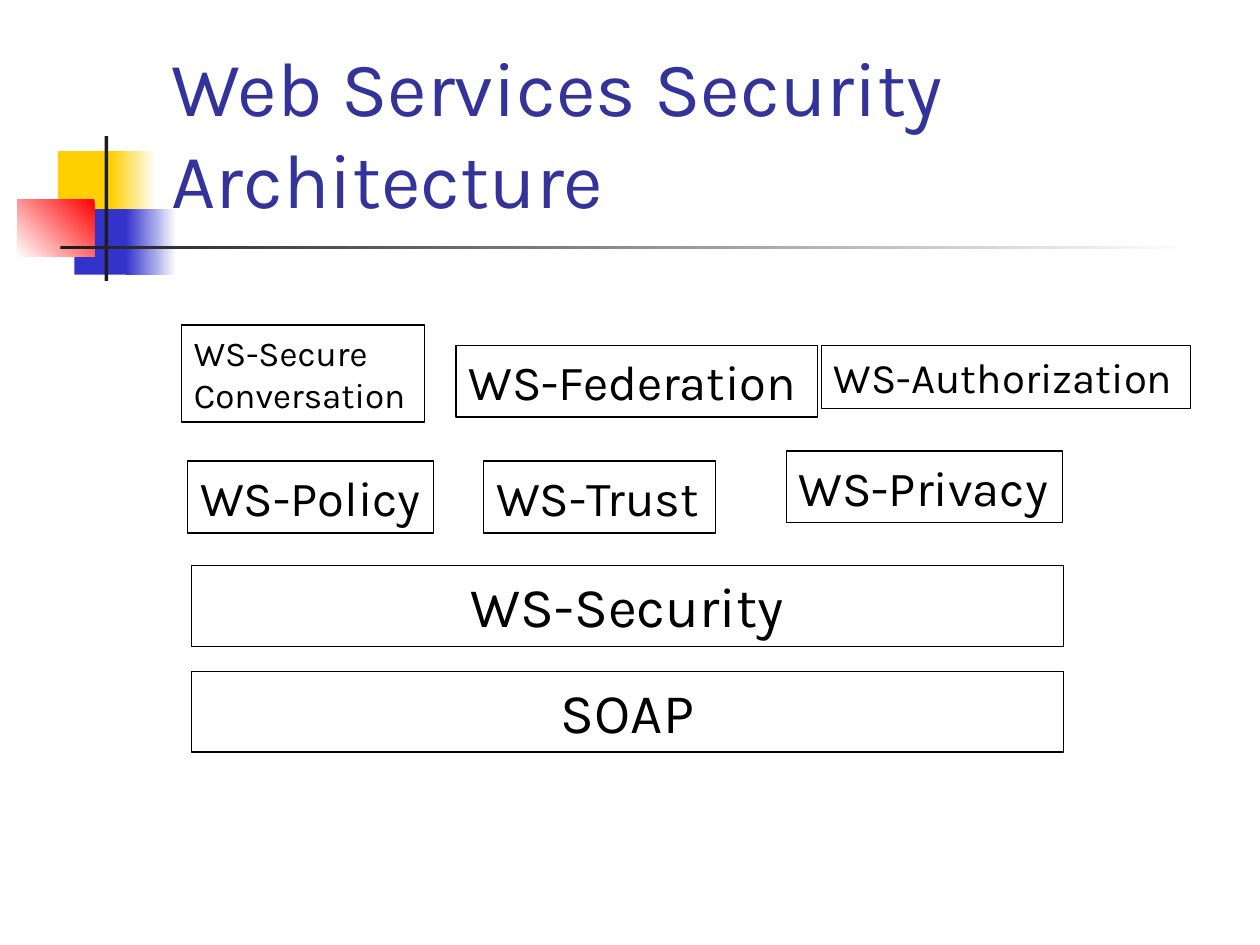
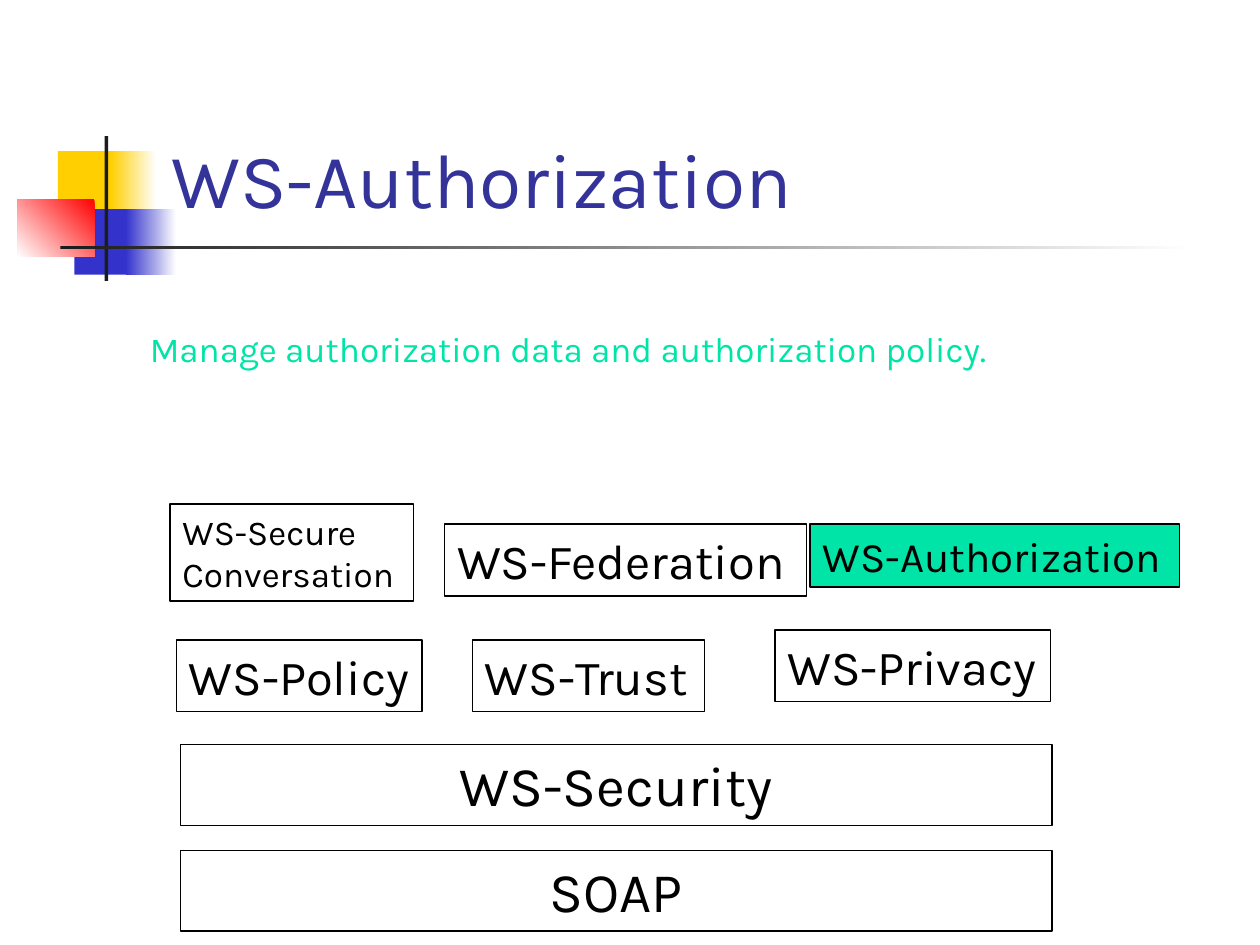
from pptx import Presentation
from pptx.dml.color import RGBColor
from pptx.enum.shapes import MSO_SHAPE
from pptx.enum.text import MSO_ANCHOR, MSO_AUTO_SIZE, PP_ALIGN
from pptx.util import Pt

EMU_PER_PX = 9144  # 100 px to the inch
FONT = "Karla"
TITLE_ONLY = 5
COLORS = {
    "title": "333399",
    "text": "000000",
    "yellow": "FFCF01",
    "blue": "3333CC",
    "red": "FF0000",
    "rule": "1C1C1C",
    "fade": "FFFFFF",
    "highlight": "00E4A8",
}
TITLE_BOX = (126, 23, 852, 160)

# color, box, gradient angle (None for a solid fill)
ORNAMENT = [
    ("yellow", (46, 120, 48, 52), None),
    ("yellow", (88, 120, 36, 52), 0),
    ("blue", (59, 166, 46, 52), None),
    ("blue", (100, 166, 40, 52), 0),
    ("red", (14, 158, 61, 46), 225),
    ("rule", (83, 108, 3, 115), None),
    ("rule", (48, 195, 900, 3), 0),
]

# label, box relative to the stack, font size
FULL_WIDTH_LAYERS = [
    ("SOAP", (8, 275, 692, 64), 32),
    ("WS-Security", (8, 191, 692, 64), 32),
]
SPECIFICATIONS = [
    ("WS-Policy", (5, 108, 195, 57), 28),
    ("WS-Trust", (240, 108, 184, 57), 28),
    ("WS-Privacy", (480, 100, 219, 57), 28),
    ("WS-Secure\nConversation", (0, 0, 193, 77), 20),
    ("WS-Federation", (218, 16, 287, 57), 28),
    ("WS-Authorization", (508, 16, 293, 50), 24),
]


def rgb(name):
    return RGBColor.from_string(COLORS[name])


def emu(box):
    return [length * EMU_PER_PX for length in box]


def format_text(frame, size, color, align=PP_ALIGN.LEFT):
    for paragraph in frame.paragraphs:
        paragraph.alignment = align
        for run in paragraph.runs:
            run.font.name = FONT
            run.font.size = Pt(size)
            run.font.color.rgb = rgb(color)


def add_label(slide, label, box, size, color="text", full_width=False):
    """Add a text box that fits its text, or centres it in a fixed width."""
    text_box = slide.shapes.add_textbox(*emu(box))
    frame = text_box.text_frame
    frame.text = label
    frame.word_wrap = full_width
    frame.auto_size = MSO_AUTO_SIZE.SHAPE_TO_FIT_TEXT
    format_text(frame, size, color,
                PP_ALIGN.CENTER if full_width else PP_ALIGN.LEFT)
    return text_box


def add_ornament(slide):
    for color, box, angle in ORNAMENT:
        block = slide.shapes.add_shape(MSO_SHAPE.RECTANGLE, *emu(box))
        block.shadow.inherit = False
        block.line.fill.background()
        if angle is None:
            block.fill.solid()
            block.fill.fore_color.rgb = rgb(color)
        else:
            block.fill.gradient()
            block.fill.gradient_angle = angle
            for stop, name in zip(block.fill.gradient_stops, (color, "fade")):
                stop.color.rgb = rgb(name)


def add_titled_slide(deck, heading):
    slide = deck.slides.add_slide(deck.slide_layouts[TITLE_ONLY])
    add_ornament(slide)
    title = slide.shapes.title
    title.left, title.top, title.width, title.height = emu(TITLE_BOX)
    frame = title.text_frame
    frame.text = heading
    frame.vertical_anchor = MSO_ANCHOR.BOTTOM
    frame.auto_size = MSO_AUTO_SIZE.NONE
    format_text(frame, 44, "title")
    # The title lies in front of the ornament
    slide.shapes._spTree.append(title._element)
    return slide


def add_security_stack(slide, left, top, highlighted=None):
    for layers, full_width in ((FULL_WIDTH_LAYERS, True), (SPECIFICATIONS, False)):
        for label, (x, y, width, height), size in layers:
            layer = add_label(slide, label, (left + x, top + y, width, height),
                              size, full_width=full_width)
            layer.line.color.rgb = rgb("text")
            layer.line.width = Pt(0.75)
            if label == highlighted:
                layer.fill.solid()
                layer.fill.fore_color.rgb = rgb("highlight")


def main():
    deck = Presentation()
    deck.slide_width, deck.slide_height = emu((1000, 750))

    architecture = add_titled_slide(deck, "Web Services Security Architecture")
    add_security_stack(architecture, 144, 258)

    authorization = add_titled_slide(deck, "WS-Authorization")
    add_security_stack(authorization, 135, 400, highlighted="WS-Authorization")
    add_label(authorization, "Manage authorization data and authorization policy.",
              (109, 255, 705, 44), 20, "highlight")

    deck.save("out.pptx")


if __name__ == "__main__":
    main()
